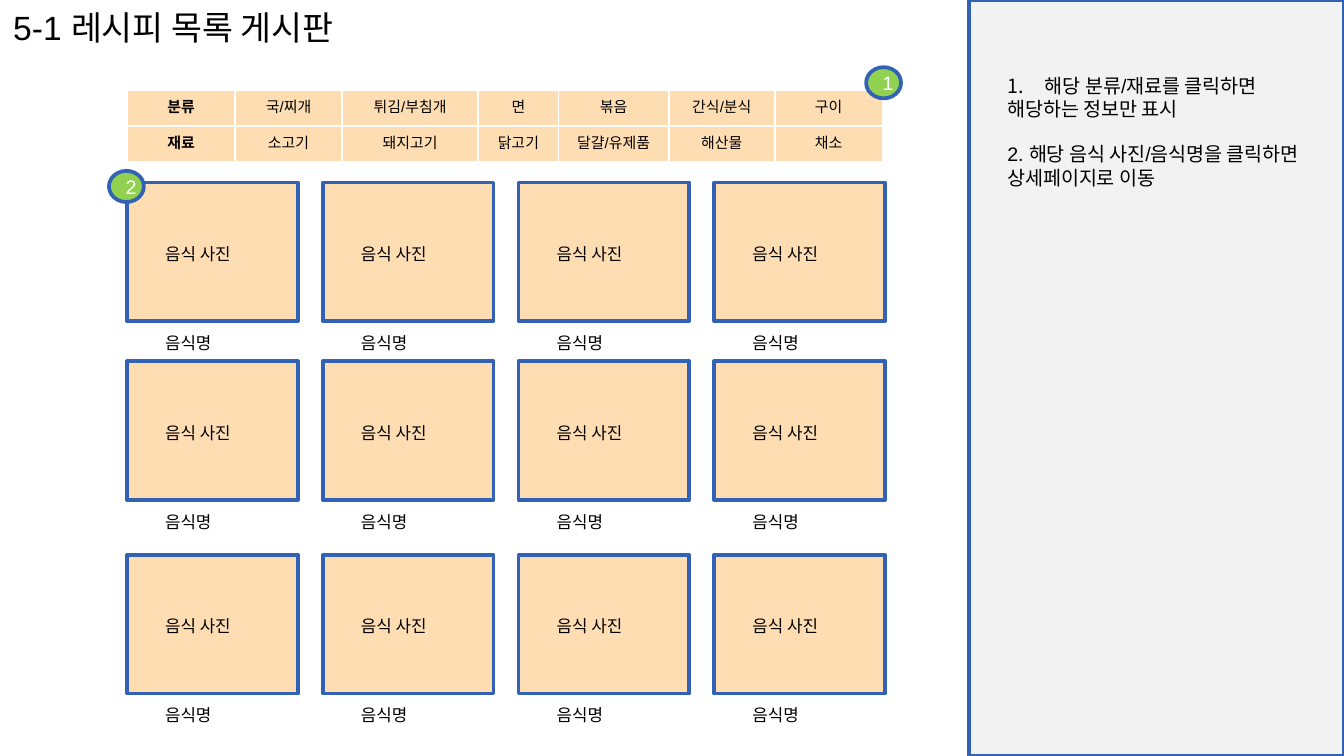
"""Build the wireframe slide for the recipe list board."""
import pptx
import pptx.dml.color
import pptx.enum.shapes
import pptx.enum.text
import pptx.oxml
import pptx.oxml.ns
import pptx.util

Cm = pptx.util.Cm
Pt = pptx.util.Pt
RGBColor = pptx.dml.color.RGBColor
ALIGN = pptx.enum.text.PP_ALIGN
SHAPE = pptx.enum.shapes.MSO_SHAPE

PEACH = RGBColor(0xFF, 0xDD, 0xB3)
BLUE = RGBColor(0x31, 0x62, 0xB5)
GREEN = RGBColor(0x92, 0xD0, 0x50)
GREY = RGBColor(0xF2, 0xF2, 0xF2)
BLACK = RGBColor(0, 0, 0)
WHITE = RGBColor(0xFF, 0xFF, 0xFF)

CATEGORIES = [
    ["분류", "국/찌개", "튀김/부침개", "면", "볶음", "간식/분식", "구이"],
    ["재료", "소고기", "돼지고기", "닭고기", "달걀/유제품", "해산물", "채소"],
]
COLUMN_WIDTHS = [2.03, 2.03, 2.57, 1.52, 2.08, 2.01, 2.03]
ROW_HEIGHT = 0.67
CARD_LEFT, CARD_STEP = 2.4, 3.7
CARD_TOPS = [3.45, 6.83, 10.49]


def write(p, text, size=9, color=BLACK, bold=False, align=None):
    p.alignment = align
    r = p.add_run()
    r.text = text
    r.font.name = "Arial"
    r.font.size = Pt(size)
    r.font.bold = bold
    r.font.color.rgb = color


class Board:
    def __init__(self, slide, line_width=2):
        self.slide = slide
        self.line_width = line_width

    def shape(self, kind, left, top, width, height, fill):
        sp = self.slide.shapes.add_shape(kind, Cm(left), Cm(top), Cm(width), Cm(height))
        sp.shadow.inherit = False
        sp.fill.solid()
        sp.fill.fore_color.rgb = fill
        sp.line.color.rgb = BLUE
        sp.line.width = Pt(self.line_width)
        return sp

    def text(self, left, top, width, height, lines, wrap=False, **fmt):
        sp = self.slide.shapes.add_textbox(Cm(left), Cm(top), Cm(width), Cm(height))
        tf = sp.text_frame
        tf.word_wrap = wrap
        tf.auto_size = pptx.enum.text.MSO_AUTO_SIZE.SHAPE_TO_FIT_TEXT
        for i, line in enumerate(lines):
            write(tf.add_paragraph() if i else tf.paragraphs[0], line, **fmt)
        return tf

    def number(self, p):
        pPr = p._p.get_or_add_pPr()
        pPr.set("marL", str(Cm(0.71)))
        pPr.set("indent", str(-Cm(0.71)))
        pPr.append(pptx.oxml.parse_xml(
            f'<a:buAutoNum {pptx.oxml.ns.nsdecls("a")} type="arabicPeriod"/>'))

    def badge(self, left, top, label):
        sp = self.shape(SHAPE.FLOWCHART_CONNECTOR, left, top, 0.66, 0.59, GREEN)
        write(sp.text_frame.paragraphs[0], label, size=10.5, color=WHITE, align=ALIGN.CENTER)

    def card(self, left, top):
        self.shape(SHAPE.RECTANGLE, left, top, 3.23, 2.62, PEACH)
        for label, offset in (("음식 사진", 1.03), ("음식명", 2.71)):
            self.text(left + 0.47, top + offset, 2.26, 0.64, [label],
                      wrap=True, align=ALIGN.JUSTIFY)

    def border(self, cell):
        tcPr = cell._tc.get_or_add_tcPr()
        for i, side in enumerate(("lnL", "lnR", "lnT", "lnB")):
            tcPr.insert(i, pptx.oxml.parse_xml(
                f'<a:{side} {pptx.oxml.ns.nsdecls("a")} w="{Pt(1)}">'
                f'<a:solidFill><a:srgbClr val="{WHITE}"/></a:solidFill></a:{side}>'))

    def table(self, left, top, rows, widths, row_height):
        table = self.slide.shapes.add_table(
            len(rows), len(widths), Cm(left), Cm(top),
            Cm(sum(widths)), Cm(row_height * len(rows))).table
        table.first_row = table.horz_banding = False
        for column, width in zip(table.columns, widths):
            column.width = Cm(width)
        for i, row in enumerate(rows):
            for j, label in enumerate(row):
                cell = table.cell(i, j)
                cell.margin_left = cell.margin_right = Cm(0.18)
                cell.margin_top = cell.margin_bottom = Cm(0.09)
                cell.fill.solid()
                cell.fill.fore_color.rgb = PEACH
                self.border(cell)
                write(cell.text_frame.paragraphs[0], label, size=8,
                      bold=j == 0, align=ALIGN.CENTER)


def main():
    prs = pptx.Presentation()
    prs.slide_width, prs.slide_height = Cm(25.4), Cm(14.29)
    s = prs.slides.add_slide(prs.slide_layouts[6])
    board = Board(s)
    board.table(2.41, 1.71, CATEGORIES, COLUMN_WIDTHS, ROW_HEIGHT)
    board.text(0, 0, 7.11, 1.02, ["5-1 레시피 목록 게시판"], size=18)
    for top in CARD_TOPS:
        for column in range(4):
            board.card(CARD_LEFT + column * CARD_STEP, top)
    board.shape(SHAPE.RECTANGLE, 18.32, 0, 7.08, 14.29, GREY)
    tf = board.text(18.79, 1.27, 5.66, 1.14,
                    ["해당 분류/재료를 클릭하면", "해당하는 정보만 표시"], size=10.5)
    board.number(tf.paragraphs[0])
    board.badge(16.37, 1.27, "1")
    board.badge(2.06, 3.23, "2")
    board.text(18.79, 2.56, 6.58, 1.14,
               ["2. 해당 음식 사진/음식명을 클릭하면", "상세페이지로 이동"], size=10.5)
    prs.save("out.pptx")


if __name__ == "__main__":
    main()
